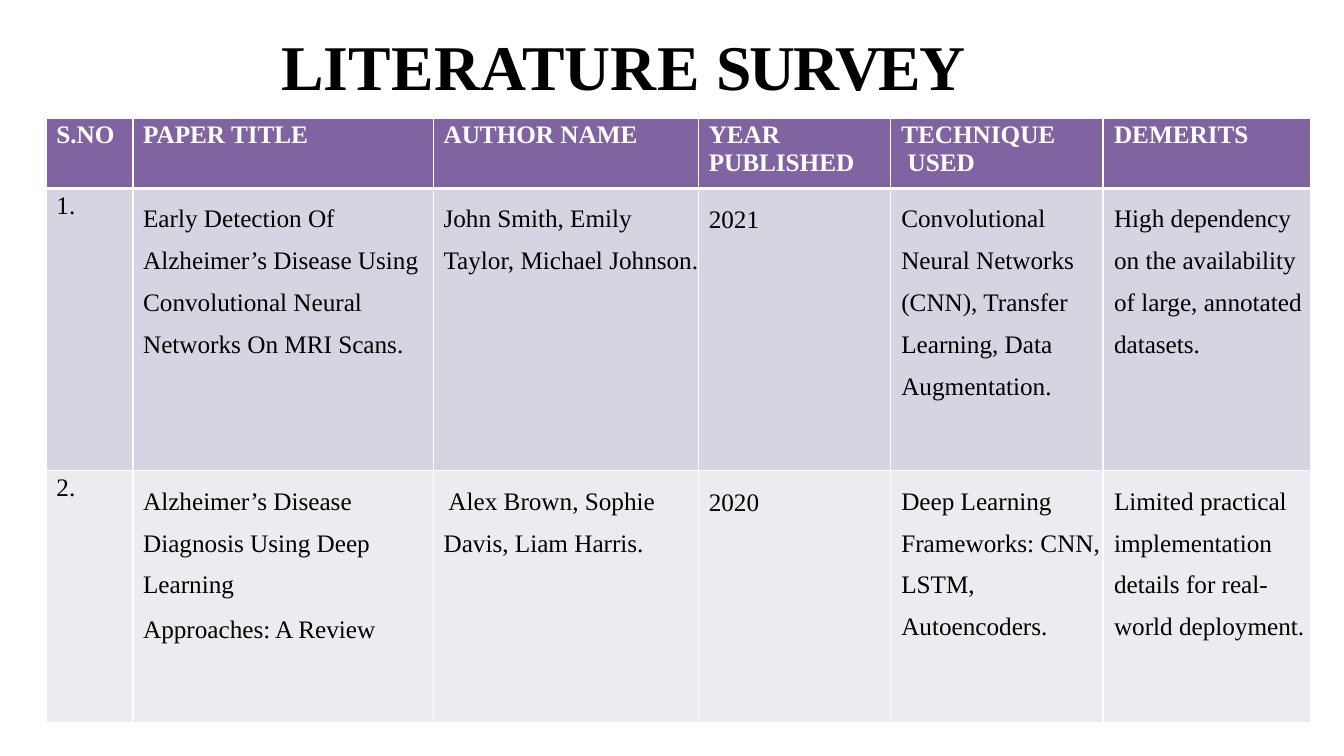
from lxml.etree import SubElement
from pptx import Presentation
from pptx.dml.color import RGBColor
from pptx.enum.text import MSO_ANCHOR, MSO_AUTO_SIZE, PP_ALIGN
from pptx.oxml.ns import qn
from pptx.util import Inches, Pt

COLORS = {
    "black": "000000",
    "white": "FFFFFF",
    "head": "8064A2",
    "odd": "D8D3E0",
    "even": "EDEAF0",
}


def write(box, text, size=18, color="black", bold=False, line=1.0,
          before=2.2, indent=0.1, top=0.03, tail="", tracks=(0, 0)):
    box.margin_left = box.margin_right = box.margin_bottom = 0
    box.margin_top = Inches(top)
    frame = getattr(box, "text_frame", box)
    frame.text = text
    if tail:
        frame.paragraphs[0].add_run().text = tail
    for para in frame.paragraphs:
        para.alignment = PP_ALIGN.LEFT
        para.line_spacing = line
        para.space_before = Pt(before)
        props = para._p.get_or_add_pPr()
        props.set("marL", str(Inches(indent)))
        props.set("indent", "0")
        for run, track in zip(para.runs, tracks):
            run.font.name = "Times New Roman"
            run.font.size = Pt(size)
            run.font.bold = bold
            run.font.color.rgb = RGBColor.from_string(COLORS[color])
            run.font._element.set("spc", str(track))


def border(cell, widths):
    props = cell._tc.get_or_add_tcPr()
    for side, width in widths.items():
        line = SubElement(props, qn(f"a:ln{side}"), w=str(Pt(width)))
        fill = SubElement(line, qn("a:solidFill"))
        SubElement(fill, qn("a:srgbClr"), val=COLORS["white"])


deck = Presentation()
deck.slide_width = Inches(13.33)
deck.slide_height = Inches(7.5)
slide = deck.slides.add_slide(deck.slide_layouts[5])

title = slide.shapes.title
title.left, title.top = Inches(2.78), Inches(0.25)
title.width, title.height = Inches(6.91), Inches(0.79)
frame = title.text_frame
write(frame, "LITERATURE ", size=45.5, bold=True, before=1.3,
      indent=0.01, top=0.02, tail="SURVEY", tracks=(20, -160))
frame.word_wrap = True
frame.auto_size = MSO_AUTO_SIZE.NONE
frame.vertical_anchor = MSO_ANCHOR.TOP

heads = ["S.NO", "PAPER TITLE", "AUTHOR NAME", "YEAR\vPUBLISHED",
         "TECHNIQUE\v USED", "DEMERITS"]
papers = [
    ["1.",
     "Early Detection Of Alzheimer’s Disease Using Convolutional Neural Networks On MRI Scans.",
     "John Smith, Emily Taylor, Michael Johnson.",
     "2021",
     "Convolutional Neural Networks (CNN), Transfer Learning, Data Augmentation.",
     "High dependency on the availability of large, annotated datasets."],
    ["2.",
     "Alzheimer’s Disease Diagnosis Using Deep Learning\nApproaches: A Review",
     " Alex Brown, Sophie Davis, Liam Harris.",
     "2020",
     "Deep Learning Frameworks: CNN, LSTM, Autoencoders.",
     "Limited practical implementation details for real-world deployment."],
]
widths = [0.86, 2.98, 2.63, 1.9, 2.11, 2.06]
heights = [0.7, 2.8, 2.5]
fills = ["head", "odd", "even"]

table = slide.shapes.add_table(
    len(heights), len(widths), Inches(0.46), Inches(1.17),
    Inches(sum(widths)), Inches(sum(heights))).table
for col, width in zip(table.columns, widths):
    col.width = Inches(width)

for row, texts in enumerate([heads] + papers):
    table.rows[row].height = Inches(heights[row])
    head = row == 0
    for col, text in enumerate(texts):
        cell = table.cell(row, col)
        year = col == 3 and not head
        write(cell, text,
              color="white" if head else "black", bold=head,
              line=1.0 if head or col == 0 else 1.5,
              before=3 if year else 2.2,
              indent=0.11 if col > 3 else 0.1,
              top=0.04 if year else 0.03)
        border(cell, {"L": 1, "R": 1, "T": 3 if row == 1 else 1,
                      "B": 3 if head else 1})
        cell.fill.solid()
        cell.fill.fore_color.rgb = RGBColor.from_string(COLORS[fills[row]])

deck.save("out.pptx")
